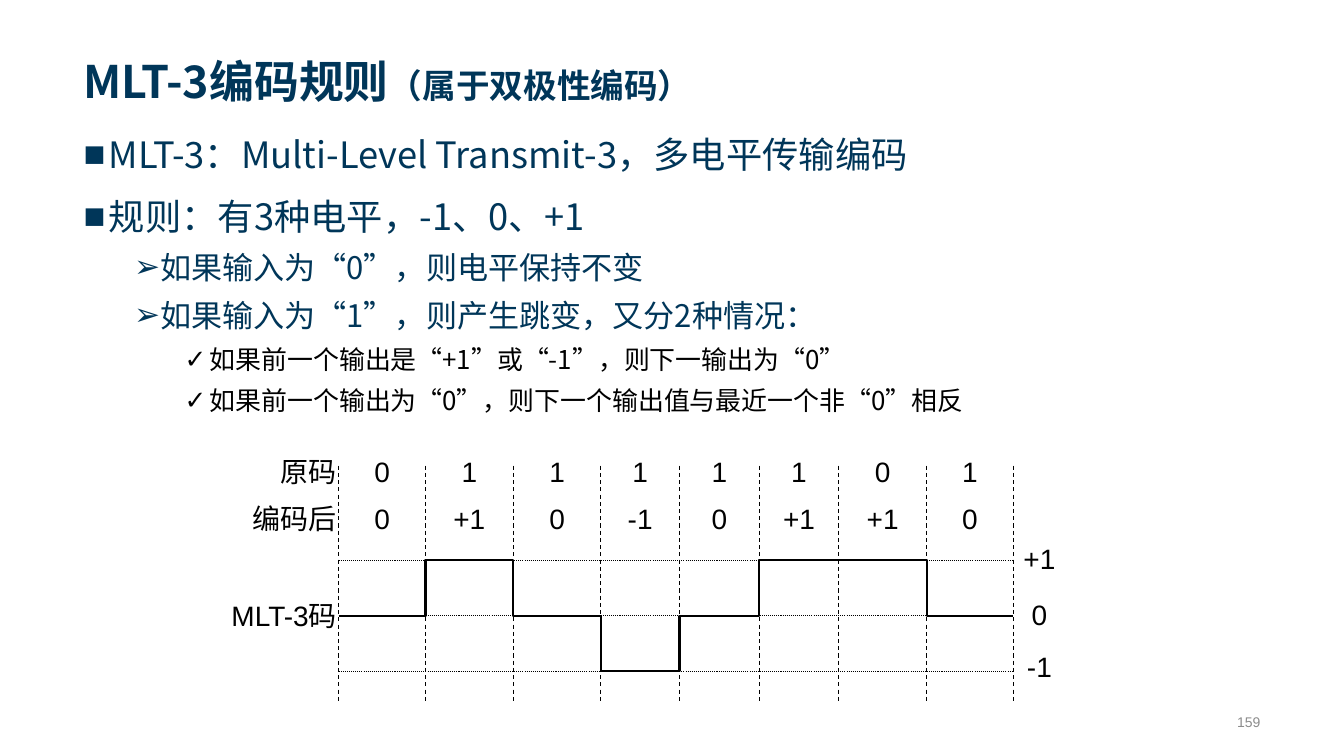
"""Build the MLT-3 encoding rules slide with its level diagram."""
from lxml import etree
from pptx import Presentation
from pptx.dml.color import RGBColor
from pptx.enum.dml import MSO_LINE
from pptx.enum.shapes import MSO_CONNECTOR
from pptx.enum.text import MSO_ANCHOR, MSO_AUTO_SIZE, PP_ALIGN
from pptx.oxml.ns import qn
from pptx.util import Inches, Pt

NAVY = RGBColor(0x00, 0x36, 0x59)
BLACK = RGBColor(0x00, 0x00, 0x00)
GRAY = RGBColor(0x8C, 0x8C, 0x8C)
LATIN, CJK = "Arial", "Noto Sans CJK SC"
LEFT, CENTER, RIGHT = PP_ALIGN.LEFT, PP_ALIGN.CENTER, PP_ALIGN.RIGHT
TOP, MIDDLE, BOTTOM = MSO_ANCHOR.TOP, MSO_ANCHOR.MIDDLE, MSO_ANCHOR.BOTTOM
STRAIGHT = MSO_CONNECTOR.STRAIGHT
DASH, DOT = MSO_LINE.DASH, MSO_LINE.ROUND_DOT
NO_AUTOFIT = MSO_AUTO_SIZE.NONE


def add_run(p, text, name, size, color, bold=False):
    r = p.add_run()
    r.text = text
    for key, value in {"name": name, "size": Pt(size), "bold": bold}.items():
        setattr(r.font, key, value)
    r.font.color.rgb = color
    etree.SubElement(r.font._element, qn("a:ea"), typeface=CJK)


def add_label(text, x, y, w, h, align, size=20, color=BLACK, anchor=TOP):
    sp = slide.shapes.add_textbox(Inches(x), Inches(y), Inches(w), Inches(h))
    tf = sp.text_frame
    tf.word_wrap = True
    tf.vertical_anchor = anchor
    p = tf.paragraphs[0]
    p.alignment = align
    add_run(p, text, LATIN, size, color)


prs = Presentation()
prs.slide_width, prs.slide_height = Inches(13.33), Inches(7.5)
slide = prs.slides.add_slide(prs.slide_layouts[1])
title, body = slide.placeholders

boxes = [(title, (0.73, 0, 11.88, 1.12), BOTTOM), (body, (0.73, 1.22, 9.45, 3.07), TOP)]
for sp, box, anchor in boxes:
    sp.left, sp.top, sp.width, sp.height = map(Inches, box)
    sp.text_frame.auto_size = NO_AUTOFIT
    sp.text_frame.vertical_anchor = anchor

p = title.text_frame.paragraphs[0]
p.alignment = LEFT
add_run(p, "MLT-3编码规则", CJK, 32, NAVY, True)
add_run(p, "（属于双极性编码）", CJK, 24, NAVY, True)

level_formats = [("■", 25.9, NAVY, 10), ("➢", 22.2, NAVY, 5), ("✓", 18.5, BLACK, 5)]
rules = [
    (0, "MLT-3：Multi-Level Transmit-3，多电平传输编码"),
    (0, "规则：有3种电平，-1、0、+1"),
    (1, "如果输入为“0”，则电平保持不变"),
    (1, "如果输入为“1”，则产生跳变，又分2种情况："),
    (2, "如果前一个输出是“+1”或“-1”，则下一输出为“0”"),
    (2, "如果前一个输出为“0”，则下一个输出值与最近一个非“0”相反"),
]
tf = body.text_frame
for i, (level, text) in enumerate(rules):
    bullet, size, color, before = level_formats[level]
    p = tf.add_paragraph() if i else tf.paragraphs[0]
    p.level = level
    p.line_spacing = 1.1
    p.space_before = Pt(before if i else 0)
    pPr = p._p.get_or_add_pPr()
    pPr.set("marL", str(Inches(0.25 + 0.5 * level)))
    pPr.set("indent", str(Inches(-0.25)))
    etree.SubElement(pPr, qn("a:buFont"), typeface=LATIN)
    etree.SubElement(pPr, qn("a:buChar"), char=bullet)
    add_run(p, text, CJK, size, color)

edges = [3.36, 4.22, 5.09, 5.96, 6.74, 7.53, 8.32, 9.19, 10.05]
level_y = {"+1": 5.56, "0": 6.11, "-1": 6.66}
source_bits = ["0", "1", "1", "1", "1", "1", "0", "1"]
coded_levels = ["0", "+1", "0", "-1", "0", "+1", "+1", "0"]

grid = [(x, 4.62, x, 6.98, DASH) for x in edges]
grid += [(edges[0], y, edges[-1], y, DOT) for y in level_y.values()]
for x1, y1, x2, y2, dash in grid:
    line = slide.shapes.add_connector(STRAIGHT, *map(Inches, (x1, y1, x2, y2)))
    line.line.color.rgb = BLACK
    line.line.width = Pt(0.75)
    line.line.dash_style = dash
    etree.SubElement(line._element.spPr, qn("a:effectLst"))

points = []
for x1, x2, level in zip(edges, edges[1:], coded_levels):
    points += [(Inches(x), Inches(level_y[level])) for x in (x1, x2)]
builder = slide.shapes.build_freeform(*points[0])
builder.add_line_segments(points[1:], close=False)
wave = builder.convert_to_shape()
wave.shadow.inherit = False
wave.fill.background()
wave.line.color.rgb = BLACK
wave.line.width = Pt(1.5)

for text, y in [("原码", 4.46), ("编码后", 4.93), ("MLT-3码", 5.89)]:
    add_label(text, 2.16, y, 1.28, 0.43, RIGHT)
for y, values in [(4.46, source_bits), (4.93, coded_levels)]:
    for x1, x2, value in zip(edges, edges[1:], values):
        add_label(value, (x1 + x2) / 2 - 0.3, y, 0.6, 0.43, CENTER)
for text, y in [("+1", 5.32), ("0", 5.88), ("-1", 6.39)]:
    add_label(text, 10.01, y, 0.6, 0.43, CENTER)
add_label("159", 8.5, 7.01, 4.1, 0.3, RIGHT, 10, GRAY, MIDDLE)

prs.save("out.pptx")
